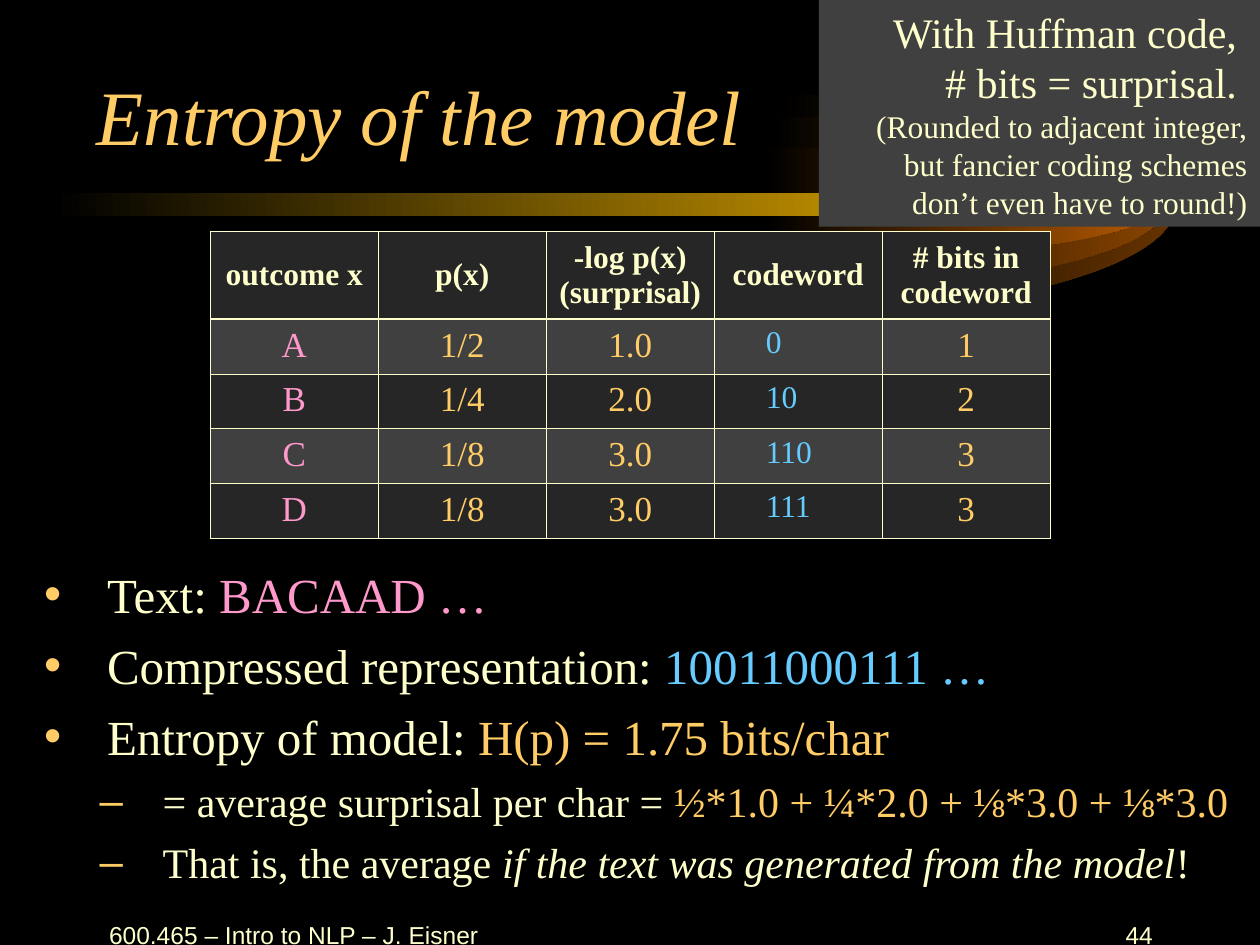
from dataclasses import dataclass

import lxml.etree
import pptx
import pptx.dml.color
import pptx.enum.shapes
import pptx.enum.text
import pptx.oxml.ns
import pptx.util
from pptx.util import Cm, Pt

ALIGN = pptx.enum.text.PP_ALIGN
ANCHOR = pptx.enum.text.MSO_ANCHOR
SHAPE = pptx.enum.shapes.MSO_SHAPE

SERIF, SANS = "Times New Roman", "Arial"
BLACK, DARK, GREY = "000000", "262626", "404040"
CREAM, GOLD, PINK, SKY = "FFFFCC", "FFCC66", "FF99CC", "66CCFF"


@dataclass
class Run:
    text: str
    size: float
    color: str = CREAM
    font: str = SERIF
    bold: bool = False
    italic: bool = False


@dataclass
class Box:
    left: float
    top: float
    width: float
    height: float


@dataclass
class Bullet:
    runs: list[Run]
    mark: str
    indent: float
    space: float


@dataclass
class Ring:
    center: float
    radius: float
    color: str


def rgb(color: str) -> pptx.dml.color.RGBColor:
    return pptx.dml.color.RGBColor.from_string(color)


def add_element(parent, tag: str, **attributes: str):
    return lxml.etree.SubElement(parent, pptx.oxml.ns.qn(tag), **attributes)


def add_run(paragraph, run: Run) -> None:
    text_run = paragraph.add_run()
    text_run.text = run.text
    font = text_run.font
    font.name, font.size = run.font, Pt(run.size)
    font.bold, font.italic = run.bold, run.italic
    font.color.rgb = rgb(run.color)


def add_box(slide, box: Box, anchor=ANCHOR.TOP):
    shape = slide.shapes.add_textbox(Cm(box.left), Cm(box.top), Cm(box.width), Cm(box.height))
    shape.text_frame.word_wrap = True
    shape.text_frame.vertical_anchor = anchor
    return shape


def add_label(slide, box: Box, run: Run, align, anchor) -> None:
    paragraph = add_box(slide, box, anchor).text_frame.paragraphs[0]
    paragraph.alignment = align
    add_run(paragraph, run)


def fade(shape, color: str) -> None:
    """Fill from black on the left to the colour on the right."""
    shape.shadow.inherit = False
    shape.line.fill.background()
    shape.fill.gradient()
    shape.fill.gradient_angle = 0
    for stop, stop_color in zip(shape.fill.gradient_stops, (BLACK, color)):
        stop.color.rgb = rgb(stop_color)


def add_half_ellipse(slide, ring: Ring) -> None:
    """Draw a triangle and bend its two free sides into quarter ellipses."""
    middle, reach, bend = 4.13, 7.95, 0.55
    builder = slide.shapes.build_freeform(Cm(ring.center), Cm(middle - ring.radius))
    builder.add_line_segments([(Cm(ring.center + reach), Cm(middle)),
                               (Cm(ring.center), Cm(middle + ring.radius))], close=True)
    shape = builder.convert_to_shape()
    curves = [[(bend, 0), (1, (1 - bend) / 2), (1, 0.5)],
              [(1, (1 + bend) / 2), (bend, 1), (0, 1)]]
    sides = list(shape._element.iter(pptx.oxml.ns.qn("a:lnTo")))
    for side, points in zip(sides, curves):
        curve = lxml.etree.Element(pptx.oxml.ns.qn("a:cubicBezTo"))
        for x, y in points:
            add_element(curve, "a:pt", x=str(int(x * shape.width)), y=str(int(y * shape.height)))
        side.getparent().replace(side, curve)
    fade(shape, ring.color)


def set_borders(cell, top: float, bottom: float) -> None:
    properties = cell._tc.get_or_add_tcPr()
    widths = {"a:lnL": 0.45, "a:lnR": 0.45, "a:lnT": top, "a:lnB": bottom}
    for index, (tag, width) in enumerate(widths.items()):
        line = lxml.etree.Element(pptx.oxml.ns.qn(tag), w=str(Pt(width)))
        add_element(add_element(line, "a:solidFill"), "a:srgbClr", val=CREAM)
        properties.insert(index, line)


def add_code_table(slide) -> None:
    headers = ["outcome x", "p(x)", "-log p(x)\n(surprisal)", "codeword", "# bits in codeword"]
    outcomes = [
        ["A", "1/2", "1.0", "0", "1"],
        ["B", "1/4", "2.0", "10", "2"],
        ["C", "1/8", "3.0", "110", "3"],
        ["D", "1/8", "3.0", "111", "3"],
    ]
    colors = [PINK, GOLD, GOLD, SKY, GOLD]
    code_column = 3
    rows = [headers, *outcomes]
    frame = slide.shapes.add_table(len(rows), len(headers), Cm(4.24), Cm(4.66), Cm(16.93), Cm(6.17))
    table = frame.table
    table.first_row = table.horz_banding = False
    for row_index, texts in enumerate(rows):
        is_header = row_index == 0
        table.rows[row_index].height = Cm(1.77 if is_header else 1.1)
        for column, text in enumerate(texts):
            is_code = column == code_column and not is_header
            cell = table.cell(row_index, column)
            cell.fill.solid()
            cell.fill.fore_color.rgb = rgb(GREY if row_index % 2 else DARK)
            cell.vertical_anchor = ANCHOR.MIDDLE if is_header else ANCHOR.TOP
            if is_code:
                cell.margin_left = Cm(1.04)
            set_borders(cell, 1.4 if row_index == 1 else 0.45, 1.4 if is_header else 0.45)
            for line_index, line in enumerate(text.split("\n")):
                text_frame = cell.text_frame
                paragraph = text_frame.add_paragraph() if line_index else text_frame.paragraphs[0]
                paragraph.alignment = ALIGN.LEFT if is_code else ALIGN.CENTER
                add_run(paragraph, Run(line, 18 if is_header or is_code else 20,
                                       CREAM if is_header else colors[column], bold=is_header))


def add_bullets(slide, box: Box, bullets: list[Bullet]) -> None:
    text_frame = add_box(slide, box).text_frame
    for index, bullet in enumerate(bullets):
        paragraph = text_frame.add_paragraph() if index else text_frame.paragraphs[0]
        paragraph.space_before = Pt(bullet.space if index else 0)
        properties = paragraph._p.get_or_add_pPr()
        properties.set("marL", str(Cm(bullet.indent)))
        properties.set("indent", str(-Cm(1.27)))
        add_element(add_element(properties, "a:buClr"), "a:srgbClr", val=GOLD)
        add_element(properties, "a:buFont", typeface=SANS)
        add_element(properties, "a:buChar", char=bullet.mark)
        for run in bullet.runs:
            add_run(paragraph, run)


def add_callout(slide) -> None:
    shape = slide.shapes.add_shape(SHAPE.RECTANGLE, Cm(16.51), Cm(0), Cm(8.89), Cm(4.57))
    shape.shadow.inherit = False
    shape.fill.solid()
    shape.fill.fore_color.rgb = rgb(GREY)
    shape.line.fill.background()
    shape.text_frame.word_wrap = True
    shape.text_frame.vertical_anchor = ANCHOR.TOP
    paragraph = shape.text_frame.paragraphs[0]
    paragraph.alignment = ALIGN.RIGHT
    for text in ("With Huffman code, ", "# bits = surprisal. "):
        add_run(paragraph, Run(text, 24))
        paragraph.add_line_break()
    add_run(paragraph, Run("(Rounded to adjacent integer, but fancier coding schemes "
                           "don’t even have to round!)", 18))


def main() -> None:
    presentation = pptx.Presentation()
    presentation.slide_width, presentation.slide_height = Cm(25.4), Cm(19.05)
    slide = presentation.slides.add_slide(presentation.slide_layouts[6])
    slide.background.fill.solid()
    slide.background.fill.fore_color.rgb = rgb(BLACK)

    # Glowing backdrop and title bar
    for ring in (Ring(15.75, 2.22, "663300"), Ring(15.56, 1.77, "894400"),
                 Ring(15.44, 1.16, "B75B00")):
        add_half_ellipse(slide, ring)
    bar = slide.shapes.add_shape(SHAPE.ROUNDED_RECTANGLE, Cm(1.07), Cm(3.89), Cm(22), Cm(0.46))
    bar.adjustments[0] = 0.5
    fade(bar, "FFBF00")

    # Title and footer
    add_label(slide, Box(1.7, 0.2, 21.59, 3.17),
              Run("Entropy of the model", 44, GOLD, italic=True), ALIGN.LEFT, ANCHOR.BOTTOM)
    add_label(slide, Box(1.9, 18.21, 8.05, 1.27),
              Run("600.465 – Intro to NLP – J. Eisner", 14, font=SANS), ALIGN.CENTER, ANCHOR.MIDDLE)
    add_label(slide, Box(18.21, 18.21, 5.28, 1.27),
              Run("44", 14, font=SANS), ALIGN.RIGHT, ANCHOR.MIDDLE)

    # Code table, explanation and callout
    add_code_table(slide)
    main_style, sub_style = ("•", 1.27, 7), ("–", 2.39, 6)
    add_bullets(slide, Box(0.64, 11.25, 24.76, 8.05), [
        Bullet([Run("Text: ", 28), Run("BACAAD …", 28, PINK)], *main_style),
        Bullet([Run("Compressed representation: ", 28), Run("10011000111 …", 28, SKY)], *main_style),
        Bullet([Run("Entropy of model: ", 28), Run("H(p) = 1.75 bits/char", 28, GOLD)], *main_style),
        Bullet([Run("= average surprisal per char =", 24),
                Run(" ½*1.0 + ¼*2.0 + ⅛*3.0 + ⅛*3.0", 24, GOLD)], *sub_style),
        Bullet([Run("That is, the average ", 24),
                Run("if the text was generated from the model", 24, italic=True),
                Run("!", 24)], *sub_style),
    ])
    add_callout(slide)
    presentation.save("out.pptx")


if __name__ == "__main__":
    main()
